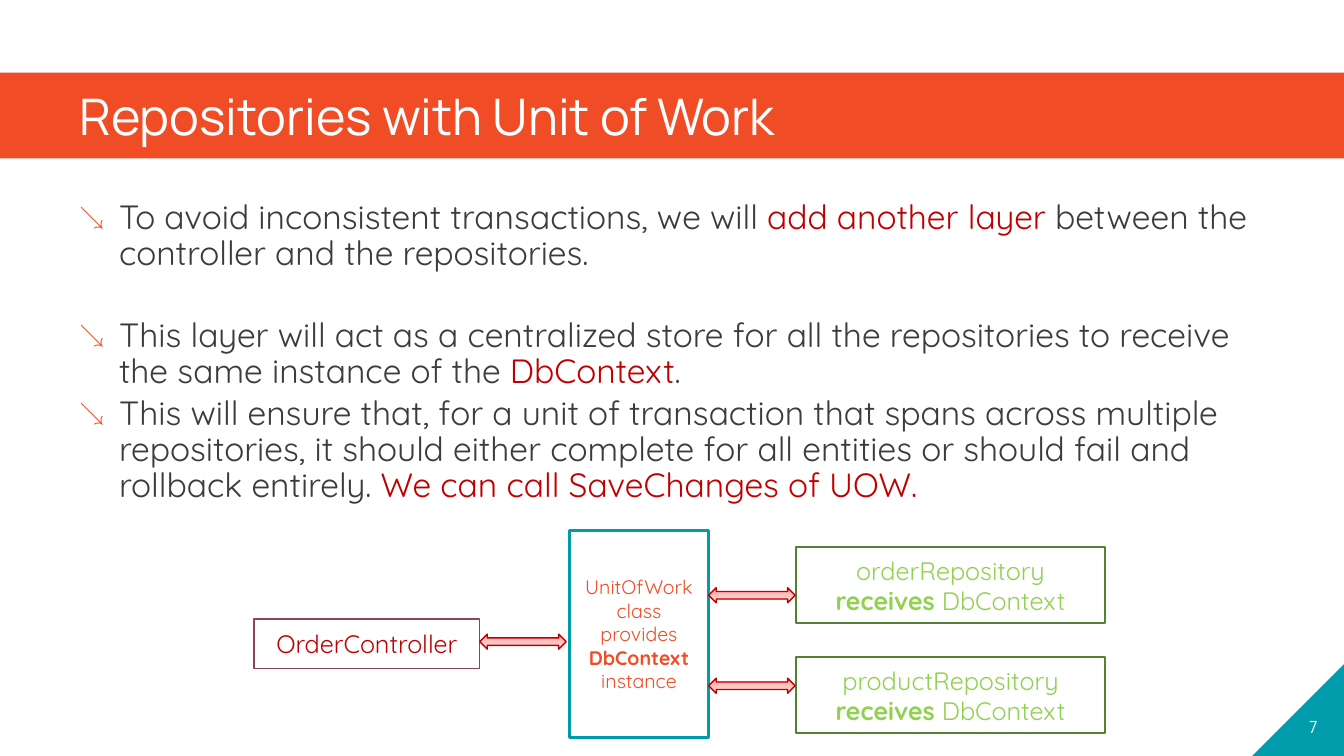
from copy import deepcopy

from lxml.etree import SubElement
from pptx import Presentation
from pptx.dml.color import RGBColor
from pptx.enum.shapes import MSO_SHAPE
from pptx.enum.text import MSO_ANCHOR, MSO_AUTO_SIZE, PP_ALIGN
from pptx.oxml.ns import qn
from pptx.util import Cm, Pt


def rgb(value):
    return RGBColor.from_string(value)


class SlideBuilder:
    heading_font = "Manrope"
    text_font = "Quicksand"
    orange = "F04C25"
    teal = "009CAB"
    red = "C00000"
    grey = "3C3C3C"
    green = "92D050"
    dark_green = "548235"
    plum = "8B455B"
    white = "FFFFFF"
    arrow_stops = ((0, "FF9F97"), (0.5, "FFC4C0"), (1, "FFE2E0"))

    def __init__(self, deck):
        self.slide = deck.slides.add_slide(deck.slide_layouts[1])

    def place(self, shape, box):
        shape.left, shape.top, shape.width, shape.height = map(Cm, box)

    def frame(self, shape, insets, anchor):
        frame = shape.text_frame
        frame.word_wrap = True
        frame.auto_size = MSO_AUTO_SIZE.NONE
        frame.vertical_anchor = anchor
        (frame.margin_left, frame.margin_top,
         frame.margin_right, frame.margin_bottom) = map(Cm, insets)
        return frame

    def add_text(self, paragraph, text, size, color, font=text_font, bold=False):
        for index, line in enumerate(text.split("\n")):
            if index:
                paragraph.add_line_break()
            if line:
                run = paragraph.add_run()
                run.text = line
                run.font.name = font
                run.font.size = Pt(size)
                run.font.bold = bold
                run.font.color.rgb = rgb(color)

    def title(self, text, box):
        banner = self.slide.shapes.title
        self.place(banner, box)
        banner.fill.solid()
        banner.fill.fore_color.rgb = rgb(self.orange)
        frame = self.frame(banner, (2, 0, 2, 0), MSO_ANCHOR.MIDDLE)
        frame.paragraphs[0].alignment = PP_ALIGN.LEFT
        self.add_text(frame.paragraphs[0], text, 36, self.white, self.heading_font)

    def bullet(self, paragraph):
        properties = paragraph._p.get_or_add_pPr()
        properties.set("marL", str(Cm(1)))
        properties.set("indent", str(-Cm(1)))
        color = SubElement(properties, qn("a:buClr"))
        SubElement(color, qn("a:srgbClr"), val=self.orange)
        SubElement(properties, qn("a:buSzPct"), val="75000")
        SubElement(properties, qn("a:buFont"), typeface=self.text_font)
        SubElement(properties, qn("a:buChar"), char="↘")

    def points(self, points, box):
        body = self.slide.placeholders[1]
        self.place(body, box)
        frame = self.frame(body, (2, 1, 2, 1), MSO_ANCHOR.TOP)
        for index, (space_before, parts) in enumerate(points):
            paragraph = frame.add_paragraph() if index else frame.paragraphs[0]
            self.bullet(paragraph)
            paragraph.line_spacing = 0.9
            paragraph.space_before = Pt(space_before)
            paragraph.space_after = Pt(2)
            for text, color in parts:
                self.add_text(paragraph, text, 24, color)

    def shape(self, kind, box):
        shape = self.slide.shapes.add_shape(kind, *map(Cm, box))
        shape.shadow.inherit = False
        return shape

    def outline(self, shape, color, width):
        shape.line.color.rgb = rgb(color)
        shape.line.width = Pt(width)

    def component(self, box, border, width, parts, size, color):
        component = self.shape(MSO_SHAPE.RECTANGLE, box)
        component.fill.background()
        self.outline(component, border, width)
        frame = self.frame(component, (0.25, 0.13, 0.25, 0.13), MSO_ANCHOR.MIDDLE)
        frame.paragraphs[0].alignment = PP_ALIGN.CENTER
        for text, bold in parts:
            self.add_text(frame.paragraphs[0], text, size, color, bold=bold)

    def arrow(self, left, top):
        arrow = self.shape(MSO_SHAPE.LEFT_RIGHT_ARROW, (left, top, 2.18, 0.38))
        self.outline(arrow, self.red, 1)
        arrow.fill.gradient()
        arrow.fill.gradient_angle = 270
        stop_list = arrow._element.spPr.find(qn("a:gradFill")).find(qn("a:gsLst"))
        stop_list.append(deepcopy(stop_list[0]))
        for stop, (position, color) in zip(arrow.fill.gradient_stops, self.arrow_stops):
            stop.position = position
            stop.color.rgb = rgb(color)

    def page_corner(self, number, box):
        corner = self.shape(MSO_SHAPE.RIGHT_TRIANGLE, box)
        corner._element.spPr.find(qn("a:xfrm")).set("flipH", "1")
        corner.fill.solid()
        corner.fill.fore_color.rgb = rgb(self.teal)
        corner.line.fill.background()
        frame = self.frame(corner, (0, 0, 0, 0.3), MSO_ANCHOR.BOTTOM)
        frame.paragraphs[0].alignment = PP_ALIGN.CENTER
        self.add_text(frame.paragraphs[0], number, 12, self.white, self.heading_font)


def main():
    deck = Presentation()
    deck.slide_width, deck.slide_height = Cm(33.87), Cm(19.05)
    page = SlideBuilder(deck)
    grey, red = page.grey, page.red

    page.title("Repositories with Unit of Work", (0, 1.83, 33.87, 2.16))
    page.points([
        (0, [("To avoid inconsistent transactions, we will ", grey),
             ("add another layer ", red),
             ("between the controller and the repositories.", grey)]),
        (30.5, [("This layer will act as a centralized store for all the "
                 "repositories to receive the same instance of the ", grey),
                ("DbContext", red),
                (".", grey)]),
        (2, [("This will ensure that, for a unit of transaction that spans across "
              "multiple repositories, it should either complete for all entities "
              "or should fail and rollback entirely. ", grey),
             ("We can call SaveChanges of UOW.", red)]),
    ], (0, 4.04, 33.87, 12.73))

    page.component((6.4, 15.6, 5.69, 1.24), page.plum, 1,
                   [("OrderController", False)], 18, red)
    for repository, top in (("orderRepository\n", 13.79), ("productRepository\n", 16.56)):
        page.component((20.07, top, 7.77, 1.91), page.dark_green, 1.5,
                       [(repository, False), ("receives ", True), ("DbContext", False)],
                       18, page.green)
    page.component((14.35, 13.36, 3.51, 5.23), page.teal, 2.25,
                   [("UnitOfWork\nclass\nprovides ", False), ("DbContext\n", True),
                    ("instance", False)], 14, page.orange)
    for left, top in ((12.09, 15.98), (17.86, 14.81), (17.86, 17.09)):
        page.arrow(left, top)
    page.page_corner("7", (31.56, 16.74, 2.31, 2.31))

    deck.save("out.pptx")


if __name__ == "__main__":
    main()
